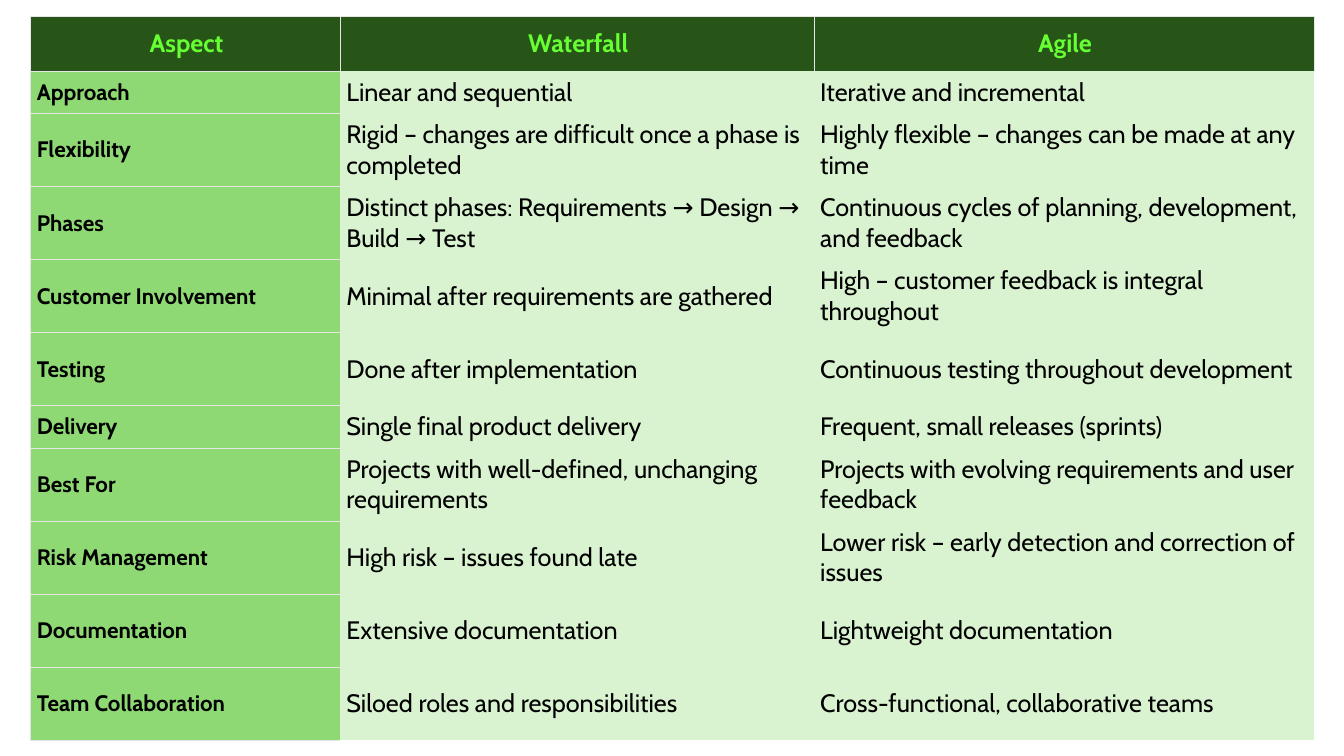
"""Build a one-slide table comparing the Waterfall and Agile methods."""
from dataclasses import dataclass

import lxml.etree
import pptx
import pptx.dml.color
import pptx.enum.text
import pptx.oxml.ns
import pptx.table
import pptx.util

Cm = pptx.util.Cm
Pt = pptx.util.Pt
RGBColor = pptx.dml.color.RGBColor
qn = pptx.oxml.ns.qn

DARK_GREEN = RGBColor(0x27, 0x54, 0x17)
MID_GREEN = RGBColor(0x8E, 0xD9, 0x73)
PALE_GREEN = RGBColor(0xD9, 0xF2, 0xD0)
NEON_GREEN = RGBColor(0x66, 0xFF, 0x33)
BLACK = RGBColor(0x00, 0x00, 0x00)
BORDER_GREY = RGBColor(0xE6, 0xE6, 0xE6)

FONT = "Cabin"
NO_STYLE = "{2D5ABB26-0587-4C30-8999-92F81FD0307C}"
HEADER_HEIGHT, SHORT_ROW, TALL_ROW = Cm(1.37), Cm(1.07), Cm(1.84)
COLUMN_WIDTHS = (Cm(7.8), Cm(11.94), Cm(12.6))


@dataclass(frozen=True)
class Comparison:
    aspect: str
    waterfall: str
    agile: str
    height: int = TALL_ROW


@dataclass(frozen=True)
class CellStyle:
    fill: RGBColor
    color: RGBColor
    size: int
    bold: bool
    borders: str
    alignment: pptx.enum.text.PP_ALIGN = pptx.enum.text.PP_ALIGN.LEFT


CENTER = pptx.enum.text.PP_ALIGN.CENTER
CORNER = CellStyle(DARK_GREEN, NEON_GREEN, 18, True, "LRTB", CENTER)
HEADER = CellStyle(DARK_GREEN, NEON_GREEN, 18, True, "LRT", CENTER)
ASPECT = CellStyle(MID_GREEN, BLACK, 16, True, "LTB")
BODY = CellStyle(PALE_GREEN, BLACK, 18, False, "")

ROWS = (
    Comparison("Aspect", "Waterfall", "Agile", HEADER_HEIGHT),
    Comparison("Approach", "Linear and sequential", "Iterative and incremental", SHORT_ROW),
    Comparison("Flexibility", "Rigid – changes are difficult once a phase is completed",
               "Highly flexible – changes can be made at any time"),
    Comparison("Phases", "Distinct phases: Requirements → Design → Build → Test",
               "Continuous cycles of planning, development, and feedback"),
    Comparison("Customer Involvement", "Minimal after requirements are gathered",
               "High – customer feedback is integral throughout"),
    Comparison("Testing", "Done after implementation",
               "Continuous testing throughout development"),
    Comparison("Delivery", "Single final product delivery",
               "Frequent, small releases (sprints)", SHORT_ROW),
    Comparison("Best For", "Projects with well-defined, unchanging requirements",
               "Projects with evolving requirements and user feedback"),
    Comparison("Risk Management", "High risk – issues found late",
               "Lower risk – early detection and correction of issues"),
    Comparison("Documentation", "Extensive documentation", "Lightweight documentation"),
    Comparison("Team Collaboration", "Siloed roles and responsibilities",
               "Cross-functional, collaborative teams"),
)


def add_borders(cell: pptx.table._Cell, sides: str) -> None:
    """Draw a thin grey line on each named side of the cell."""
    properties = cell._tc.get_or_add_tcPr()
    for position, side in enumerate(sides):
        line = lxml.etree.Element(qn(f"a:ln{side}"), w=str(Pt(0.5)))
        fill = lxml.etree.SubElement(line, qn("a:solidFill"))
        lxml.etree.SubElement(fill, qn("a:srgbClr"), val=str(BORDER_GREY))
        properties.insert(position, line)


def fill_cell(cell: pptx.table._Cell, text: str, style: CellStyle) -> None:
    """Write the text into the cell and apply its style."""
    cell.text = text
    cell.vertical_anchor = pptx.enum.text.MSO_ANCHOR.MIDDLE
    cell.margin_left = Cm(0.16)
    cell.margin_top = cell.margin_right = cell.margin_bottom = Cm(0.1)
    cell.fill.solid()
    cell.fill.fore_color.rgb = style.fill
    para = cell.text_frame.paragraphs[0]
    para.alignment = style.alignment
    para.font.name = FONT
    para.font.size = Pt(style.size)
    para.font.bold = style.bold
    para.font.color.rgb = style.color
    add_borders(cell, style.borders)


def main() -> None:
    """Create the deck and save it."""
    deck = pptx.Presentation()
    deck.slide_width, deck.slide_height = Cm(33.87), Cm(19.05)
    page = deck.slides.add_slide(deck.slide_layouts[6])
    frame = page.shapes.add_table(
        len(ROWS), len(COLUMN_WIDTHS), Cm(0.77), Cm(0.42),
        sum(COLUMN_WIDTHS), sum(row.height for row in ROWS))
    next(frame.element.iter(qn("a:tableStyleId"))).text = NO_STYLE
    table = frame.table
    table.horz_banding = False
    for column, width in zip(table.columns, COLUMN_WIDTHS):
        column.width = width
    for row_index, row in enumerate(ROWS):
        table.rows[row_index].height = row.height
        first, other = (ASPECT, BODY) if row_index else (CORNER, HEADER)
        texts = (row.aspect, row.waterfall, row.agile)
        for column_index, text in enumerate(texts):
            style = other if column_index else first
            fill_cell(table.cell(row_index, column_index), text, style)
    deck.save("out.pptx")


if __name__ == "__main__":
    main()
